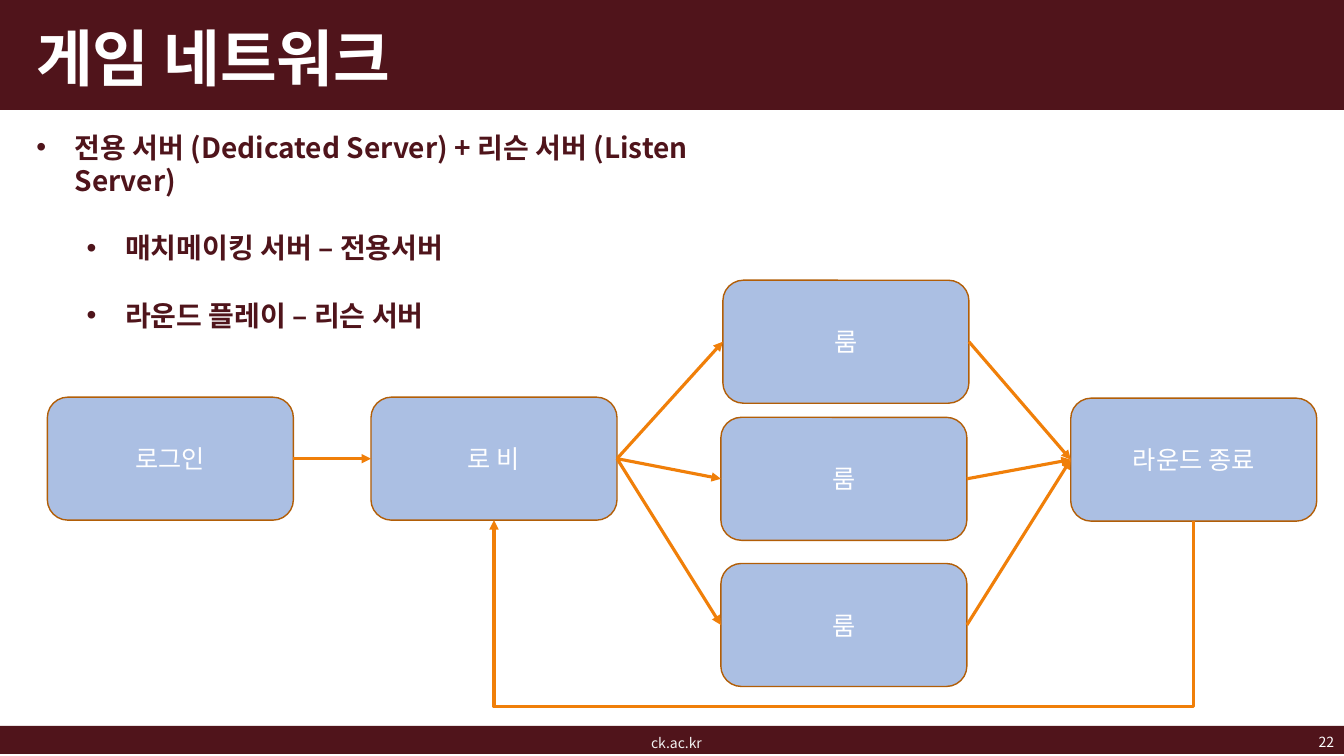
"""Build the game network slide: a server outline above a match flow diagram."""
from dataclasses import dataclass
from typing import Any

from lxml.etree import SubElement
from pptx import Presentation
from pptx.dml.color import RGBColor
from pptx.enum.shapes import MSO_CONNECTOR as Link, MSO_SHAPE as Preset
from pptx.enum.text import MSO_ANCHOR as Anchor, MSO_AUTO_SIZE as Fit, PP_ALIGN as Align
from pptx.oxml.ns import qn
from pptx.util import Pt

PX = 9144
TOP, LEFT, BOTTOM, RIGHT = range(4)


@dataclass(frozen=True)
class Theme:
    font: str = "Noto Sans CJK KR"
    band: str = "50141B"
    outline: str = "4F141B"
    white: str = "FFFFFF"
    footer: str = "F2F2F2"
    node: str = "ABBFE3"
    edge: str = "B25E07"
    arrow: str = "F07F09"
    title_size: int = 44
    body_size: int = 20
    node_size: int = 18
    small_size: int = 10
    edge_width: float = 1
    arrow_width: float = 2.25


THEME = Theme()


@dataclass(frozen=True)
class Area:
    left: int
    top: int
    width: int
    height: int

    def emu(self) -> tuple[int, ...]:
        return tuple(n * PX for n in (self.left, self.top, self.width, self.height))


@dataclass(frozen=True)
class Node:
    label: str
    left: int
    top: int

    def area(self) -> Area:
        return Area(self.left, self.top, 244, 122)


@dataclass(frozen=True)
class Bullet:
    text: str
    level: int
    indent: int
    gap: int


@dataclass(frozen=True)
class Label:
    text: str
    area: Area
    color: str
    align: Any


BANDS = (Area(0, 0, 1333, 109), Area(0, 720, 1333, 28))
BULLETS = (
    Bullet("전용 서버 (Dedicated Server) + 리슨 서버 (Listen Server)", 0, 38, 0),
    Bullet("매치메이킹 서버 – 전용서버", 1, 88, 24),
    Bullet("라운드 플레이 – 리슨 서버", 1, 88, 24),
)
LABELS = (
    Label("22", Area(1274, 722, 59, 28), THEME.white, Align.RIGHT),
    Label("ck.ac.kr", Area(633, 723, 76, 28), THEME.footer, Align.CENTER),
)
LOGIN = Node("로그인", 47, 394)
LOBBY = Node("로 비", 368, 394)
ROOMS = (Node("룸", 717, 278), Node("룸", 715, 414), Node("룸", 715, 559))
ROUND_END = Node("라운드 종료", 1062, 395)
RETURN_Y = 704


def apply(target: Any, values: dict[str, Any]) -> None:
    """Set each named format value on the target."""
    for name, value in values.items():
        setattr(target, name, value)


def place(shape: Any, area: Area) -> None:
    """Move a shape to its area."""
    apply(shape, dict(zip(("left", "top", "width", "height"), area.emu())))


def write(para: Any, text: str, size: int, color: str, bold: bool = False) -> None:
    """Add one formatted span to a paragraph."""
    span = para.add_run()
    span.text = text
    apply(span.font, {"name": THEME.font, "size": Pt(size), "bold": bold})
    span.font.color.rgb = RGBColor.from_string(color)
    SubElement(span.font._element, qn("a:ea"), typeface=THEME.font)


def paint(shape: Any, color: str) -> None:
    """Give a shape a flat fill without shadow."""
    shape.shadow.inherit = False
    shape.fill.solid()
    shape.fill.fore_color.rgb = RGBColor.from_string(color)


def draw_band(page: Any, area: Area) -> None:
    """Draw a dark band behind the placeholders."""
    band = page.shapes.add_shape(Preset.RECTANGLE, *area.emu())
    paint(band, THEME.band)
    band.line.fill.background()
    page.shapes._spTree.insert(2, band._element)


def fill_title(title: Any, text: str) -> None:
    """Place and write the slide title."""
    place(title, Area(26, 23, 833, 76))
    apply(title.text_frame, {"auto_size": Fit.NONE, "vertical_anchor": Anchor.MIDDLE})
    para = title.text_frame.paragraphs[0]
    apply(para, {"alignment": Align.LEFT, "line_spacing": 0.9})
    write(para, text, THEME.title_size, THEME.white, True)


def fill_body(body: Any) -> None:
    """Place and write the bulleted outline."""
    place(body, Area(26, 124, 755, 246))
    frame = body.text_frame
    apply(frame, {"auto_size": Fit.NONE, "word_wrap": True, "vertical_anchor": Anchor.TOP})
    for index, item in enumerate(BULLETS):
        para = frame.add_paragraph() if index else frame.paragraphs[0]
        apply(para, {"level": item.level, "space_before": Pt(item.gap)})
        props = para._p.get_or_add_pPr()
        props.set("marL", str(item.indent * PX))
        props.set("indent", str(-38 * PX))
        SubElement(props, qn("a:buFont"), typeface="Arial")
        SubElement(props, qn("a:buChar"), char="•")
        write(para, item.text, THEME.body_size, THEME.outline, True)


def draw_label(page: Any, label: Label) -> None:
    """Draw a small footer label."""
    box = page.shapes.add_textbox(*label.area.emu())
    apply(box.text_frame, {"word_wrap": True, "vertical_anchor": Anchor.MIDDLE})
    para = box.text_frame.paragraphs[0]
    para.alignment = label.align
    write(para, label.text, THEME.small_size, label.color)


def draw_node(page: Any, node: Node) -> Any:
    """Draw a rounded stage of the flow."""
    box = page.shapes.add_shape(Preset.ROUNDED_RECTANGLE, *node.area().emu())
    paint(box, THEME.node)
    box.line.color.rgb = RGBColor.from_string(THEME.edge)
    box.line.width = Pt(THEME.edge_width)
    box.text_frame.vertical_anchor = Anchor.MIDDLE
    para = box.text_frame.paragraphs[0]
    para.alignment = Align.CENTER
    write(para, node.label, THEME.node_size, THEME.white)
    return box


def draw_arrow(page: Any, start: Any, end: Any, kind: Any = Link.STRAIGHT,
               sites: tuple[int, int] = (RIGHT, LEFT)) -> Any:
    """Join two stages with an arrow."""
    arrow = page.shapes.add_connector(kind, 0, 0, 0, 0)
    arrow.begin_connect(start, sites[0])
    arrow.end_connect(end, sites[1])
    arrow.line.color.rgb = RGBColor.from_string(THEME.arrow)
    arrow.line.width = Pt(THEME.arrow_width)
    SubElement(arrow.line._get_or_add_ln(), qn("a:tailEnd"), type="triangle")
    SubElement(arrow._element.spPr, qn("a:effectLst"))
    return arrow


def draw_return(page: Any, start: Any, end: Any) -> None:
    """Lead the flow back below the rooms with a turned elbow arrow."""
    arrow = draw_arrow(page, start, end, Link.ELBOW, (BOTTOM, BOTTOM))
    across, rise = arrow.width, arrow.height
    depth = RETURN_Y * PX - arrow.begin_y
    shift = (across - rise) // 2
    apply(arrow, {"left": arrow.left + shift, "top": arrow.top - shift,
                  "width": rise, "height": across})
    props = arrow._element.spPr
    apply(props.xfrm, {"rot": 90, "flipH": True, "flipV": False})
    guides = props.find(qn("a:prstGeom")).get_or_add_avLst()
    SubElement(guides, qn("a:gd"), name="adj1", fmla=f"val {-100000 * depth // rise}")


def main() -> None:
    """Build and save the deck."""
    deck = Presentation()
    apply(deck, {"slide_width": 1333 * PX, "slide_height": 750 * PX})
    page = deck.slides.add_slide(deck.slide_layouts[1])
    fill_title(page.shapes.title, "게임 네트워크")
    fill_body(page.placeholders[1])
    for area in BANDS:
        draw_band(page, area)
    for label in LABELS:
        draw_label(page, label)
    login, lobby, finish = (draw_node(page, node) for node in (LOGIN, LOBBY, ROUND_END))
    draw_arrow(page, login, lobby)
    for node in ROOMS:
        room = draw_node(page, node)
        draw_arrow(page, lobby, room)
        draw_arrow(page, room, finish)
    draw_return(page, finish, lobby)
    deck.save("out.pptx")


if __name__ == "__main__":
    main()
